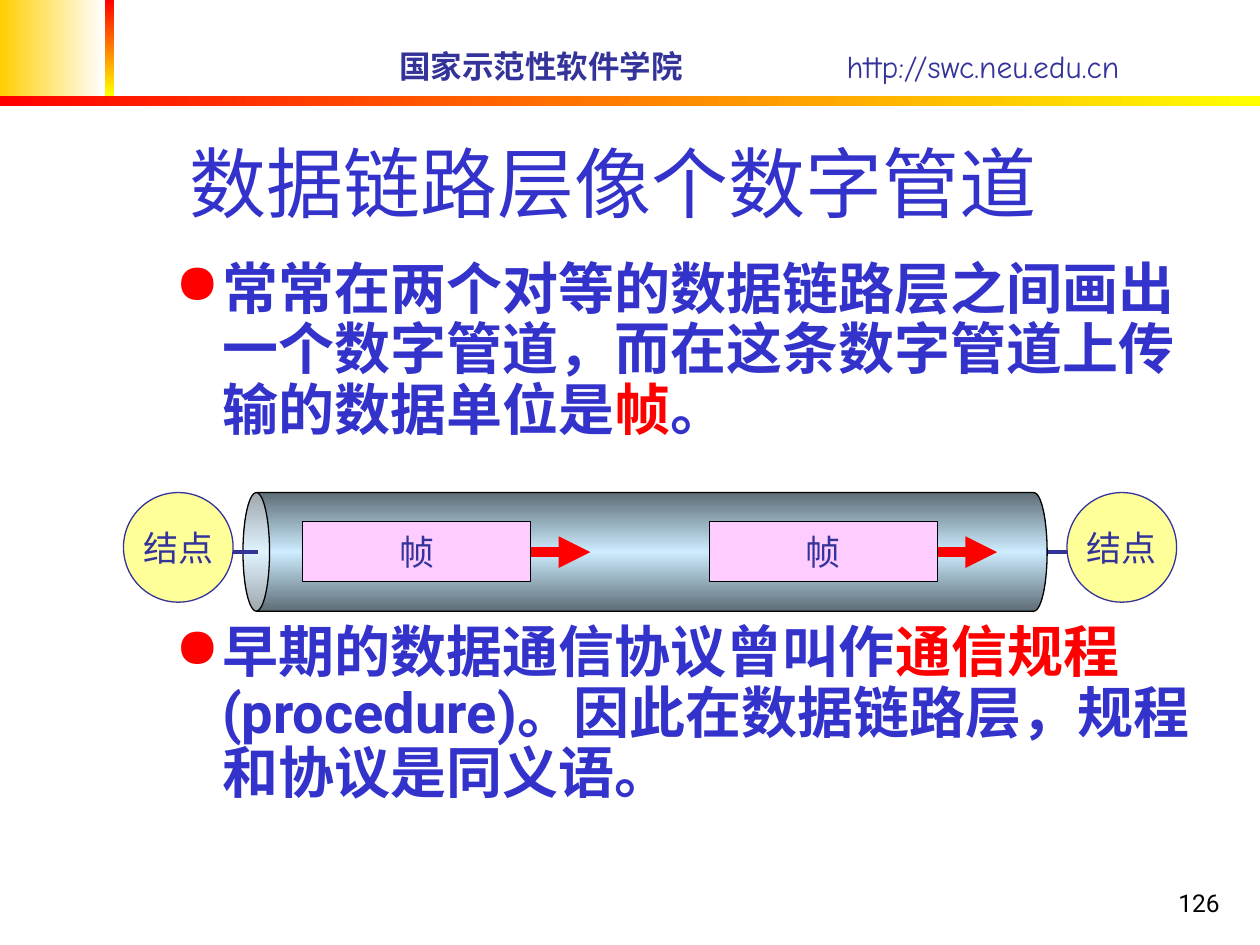
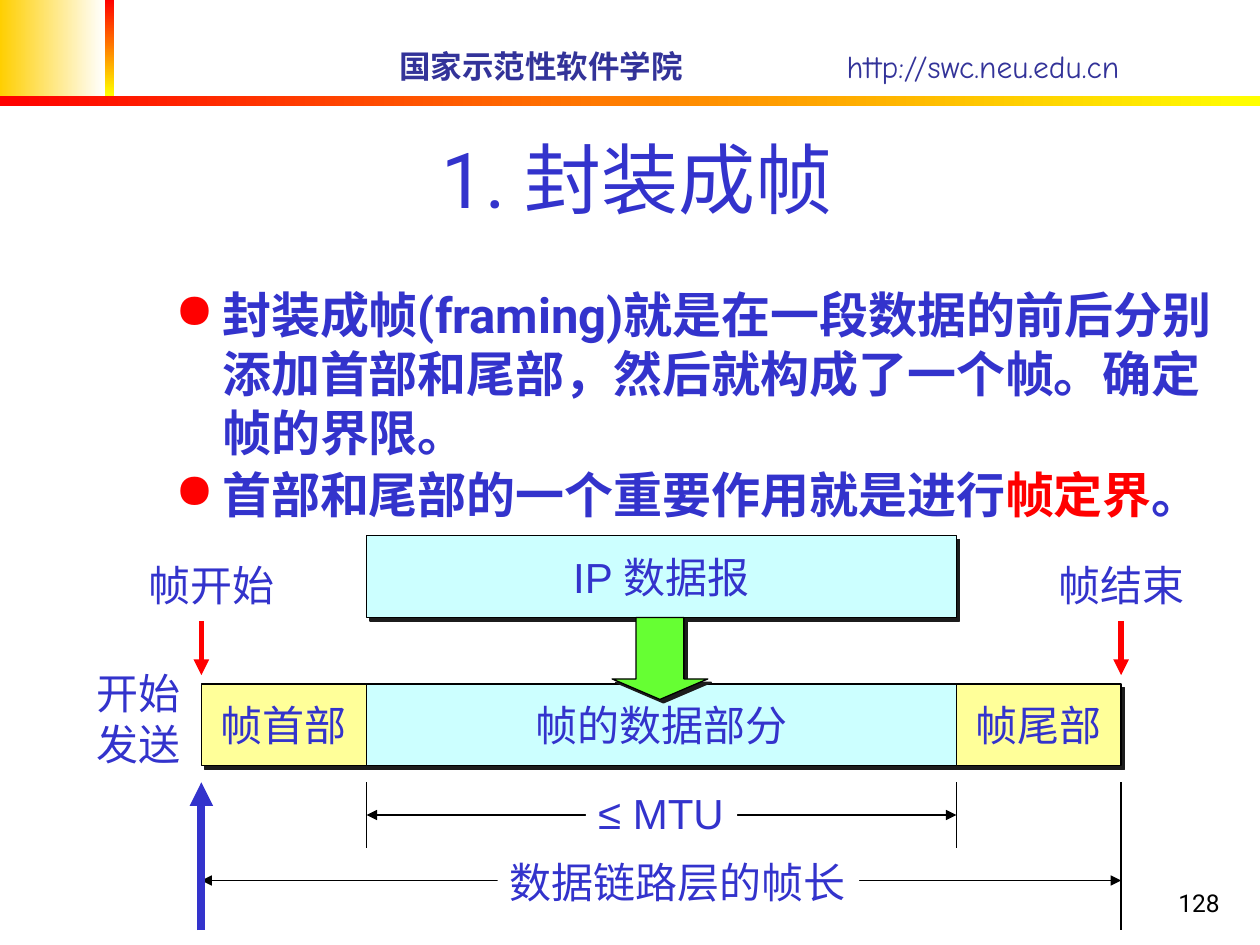
"""Build two slides about data link layer framing."""
from dataclasses import dataclass
from typing import NamedTuple, Optional, Sequence

from lxml.etree import SubElement
from pptx import Presentation
from pptx.dml.color import RGBColor
from pptx.enum.shapes import MSO_CONNECTOR, MSO_SHAPE as Preset
from pptx.enum.text import MSO_ANCHOR as Anchor, MSO_AUTO_SIZE, PP_ALIGN as Align
from pptx.oxml.ns import qn
from pptx.util import Cm, Pt

BLUE, NAVY, RED, BLACK, WHITE = "3333CC", "333399", "FF0000", "000000", "FFFFFF"
GOLD, YELLOW, STEEL, SKY = "FFCF01", "FFFF00", "5E6D76", "CCECFF"
CREAM, PINK, CYAN, GREEN, SHADOW = "FFFF99", "FFCCFF", "CCFFFF", "66FF33", "1C1C1C"


class Area(NamedTuple):
    """Left, top, width and height in centimetres."""

    left: float
    top: float
    width: float
    height: float


class Span(NamedTuple):
    """A piece of text that may differ from its paragraph."""

    text: str
    color: Optional[str] = None
    bold: Optional[bool] = None


@dataclass(frozen=True)
class Block:
    """A preset shape with its fill and label."""

    area: Area
    fill: str
    text: str = ""
    preset: Preset = Preset.RECTANGLE


@dataclass(frozen=True)
class Rule:
    """A straight line with optional arrowheads."""

    start: tuple[float, float]
    end: tuple[float, float]
    color: str = BLACK
    weight: float = 0.75
    heads: tuple[str, ...] = ()


@dataclass(frozen=True)
class Bullet:
    """A bulleted paragraph and the space before it."""

    spans: Sequence[Span]
    space_before: float = 0


def rgb(color: str) -> RGBColor:
    """Turn a hex string into a colour."""
    return RGBColor.from_string(color)


def lengths(area: Area) -> list[Cm]:
    """Turn an area into lengths."""
    return [Cm(value) for value in area]


def write(paragraph, spans: Sequence[Span], *, size: float, font: str = "Roboto",
          color: str = BLUE, bold: bool = False, align: Align = Align.LEFT) -> None:
    """Write formatted spans into a paragraph."""
    paragraph.alignment = align
    for span in spans:
        run = paragraph.add_run()
        run.text = span.text
        run.font.size, run.font.name = Pt(size), font
        run.font.bold = bold if span.bold is None else span.bold
        run.font.color.rgb = rgb(span.color or color)


def add_text(slide, area: Area, lines: Sequence[str], *, wrap: bool = True,
             anchor: Anchor = Anchor.TOP, fill: Optional[str] = None, **style):
    """Add a text box with one paragraph for each line."""
    box = slide.shapes.add_textbox(*lengths(area))
    frame = box.text_frame
    frame.word_wrap, frame.vertical_anchor = wrap, anchor
    if fill:
        box.fill.solid()
        box.fill.fore_color.rgb = rgb(fill)
    for index, line in enumerate(lines):
        paragraph = frame.add_paragraph() if index else frame.paragraphs[0]
        write(paragraph, [Span(line)], **style)
    return box


def add_block(slide, block: Block, *, shadow: bool = False, line: str = BLACK, **style):
    """Add a filled and outlined shape with a centred label."""
    shape = slide.shapes.add_shape(block.preset, *lengths(block.area))
    shape.shadow.inherit = False
    shape.fill.solid()
    shape.fill.fore_color.rgb = rgb(block.fill)
    shape.line.color.rgb = rgb(line)
    shape.line.width = Pt(0.75)
    if shadow:
        effects = shape.element.spPr.find(qn("a:effectLst"))
        outer = SubElement(effects, qn("a:outerShdw"), blurRad="0", dist=str(Pt(2.8)),
                           dir="2700000", algn="ctr", rotWithShape="0")
        SubElement(outer, qn("a:srgbClr"), val=SHADOW)
    if block.text:
        frame = shape.text_frame
        frame.word_wrap, frame.vertical_anchor = False, Anchor.MIDDLE
        write(frame.paragraphs[0], [Span(block.text)], align=Align.CENTER, **style)
    return shape


def paint_gradient(shape, colors: Sequence[str], angle: float = 0) -> None:
    """Fill a shape with evenly spaced gradient stops."""
    shape.fill.gradient()
    shape.fill.gradient_angle = angle
    stops = shape.element.spPr.find(qn("a:gradFill")).find(qn("a:gsLst"))
    for stop in list(stops):
        stops.remove(stop)
    for index, color in enumerate(colors):
        position = 100000 * index // (len(colors) - 1)
        stop = SubElement(stops, qn("a:gs"), pos=str(position))
        SubElement(stop, qn("a:srgbClr"), val=color)


def add_rule(slide, rule: Rule) -> None:
    """Add a line, with triangles at the named ends."""
    ends = [Cm(value) for value in (*rule.start, *rule.end)]
    connector = slide.shapes.add_connector(MSO_CONNECTOR.STRAIGHT, *ends)
    connector.line.color.rgb = rgb(rule.color)
    connector.line.width = Pt(rule.weight)
    properties = connector.element.spPr
    for head in rule.heads:
        SubElement(properties.find(qn("a:ln")), qn(f"a:{head}"), type="triangle")
    SubElement(properties, qn("a:effectLst"))


def add_bullets(slide, area: Area, bullets: Sequence[Bullet], *, size: float,
                line_spacing: float = 1.0) -> None:
    """Add the bold body text with red bullets."""
    frame = slide.shapes.add_textbox(*lengths(area)).text_frame
    frame.word_wrap = True
    for index, bullet in enumerate(bullets):
        paragraph = frame.add_paragraph() if index else frame.paragraphs[0]
        paragraph.line_spacing = line_spacing
        if bullet.space_before:
            paragraph.space_before = Pt(bullet.space_before)
        properties = paragraph._p.get_or_add_pPr()
        properties.set("marL", str(Cm(0.95)))
        properties.set("indent", str(Cm(-0.95)))
        SubElement(SubElement(properties, qn("a:buClr")), qn("a:srgbClr"), val=RED)
        SubElement(properties, qn("a:buChar"), char="●")
        write(paragraph, bullet.spans, size=size, bold=True)


def add_header(slide) -> None:
    """Add the gradient bands and the school line."""
    bands = (
        (Area(0, 0, 2.11, 1.93), (GOLD, WHITE), 0),
        (Area(2.11, 0, 0.2, 1.93), (RED, YELLOW), 270),
        (Area(0, 1.93, 25.4, 0.2), (RED, YELLOW), 0),
    )
    for area, colors, angle in bands:
        band = add_block(slide, Block(area, WHITE))
        band.line.fill.background()
        paint_gradient(band, colors, angle)
    box = add_text(slide, Area(7.8, 0.81, 17.02, 1.02), (), anchor=Anchor.MIDDLE)
    paragraph = box.text_frame.paragraphs[0]
    tabs = SubElement(paragraph._p.get_or_add_pPr(), qn("a:tabLst"))
    SubElement(tabs, qn("a:tab"), pos=str(Cm(9.02)), algn="l")
    spans = (Span("国家示范性软件学院\t"), Span("http://swc.neu.edu.cn", bold=False))
    write(paragraph, spans, size=18, font="Comic Neue", color=NAVY, bold=True)


def start_slide(presentation, title: str, title_area: Area, number: int):
    """Add a slide with its header, number and title."""
    slide = presentation.slides.add_slide(presentation.slide_layouts[5])
    add_header(slide)
    add_text(slide, Area(19.56, 17.35, 5.28, 1.27), [str(number)], anchor=Anchor.BOTTOM,
             size=14, color=BLACK, align=Align.RIGHT)
    shape = slide.shapes.title
    shape.left, shape.top, shape.width, shape.height = lengths(title_area)
    frame = shape.text_frame
    frame.auto_size, frame.vertical_anchor = MSO_AUTO_SIZE.NONE, Anchor.BOTTOM
    write(frame.paragraphs[0], [Span(title)], size=44, align=Align.CENTER)
    return slide


def build_pipe_slide(presentation) -> None:
    """Show the data link layer as a digital pipe."""
    slide = start_slide(presentation, "数据链路层像个数字管道",
                        Area(2.84, 2.59, 19.05, 2.13), 126)
    add_bullets(slide, Area(3.28, 5.13, 21.59, 13.44), (
        Bullet((Span("常常在两个对等的数据链路层之间画出一个数字管道，而在这条数字管道上传输的数据单位是"),
                Span("帧", RED), Span("。"))),
        Bullet((Span("早期的数据通信协议曾叫作"), Span("通信规程", RED),
                Span("(procedure)。因此在数据链路层，规程和协议是同义语。")), 104),
    ), size=32, line_spacing=0.9)

    axis, node_size, node_lefts = 11.13, 2.21, (2.49, 21.51)
    label = {"size": 20, "color": NAVY}
    for left in node_lefts:
        node = Block(Area(left, 9.93, node_size, node_size), CREAM, "结点", Preset.OVAL)
        add_block(slide, node, line=NAVY, **label)
    link_start = node_lefts[0] + node_size
    add_rule(slide, Rule((link_start, axis), (node_lefts[1], axis), NAVY, 2.25))
    pipe = add_block(slide, Block(Area(11.81, 3.02, 2.39, 16.21), SKY, preset=Preset.CAN))
    pipe.rotation = 270
    pipe.adjustments[0] = 0.224
    paint_gradient(pipe, (STEEL, SKY, STEEL))
    add_rule(slide, Rule((link_start, axis), (link_start + 0.51, axis), NAVY, 2.25))

    frame_width, arrow_length = 4.6, 1.2
    for left in (6.1, 14.3):
        add_block(slide, Block(Area(left, 10.52, frame_width, 1.2), PINK, "帧"), **label)
        right = left + frame_width
        add_rule(slide, Rule((right, axis), (right + arrow_length, axis), RED, 6, ("tailEnd",)))


def build_framing_slide(presentation) -> None:
    """Show how a datagram is wrapped into a frame."""
    slide = start_slide(presentation, "1. 封装成帧", Area(3.2, 0.58, 19.3, 4.06), 128)
    add_bullets(slide, Area(3.28, 5.61, 21.59, 11.43), (
        Bullet([Span("封装成帧(framing)就是在一段数据的前后分别添加首部和尾部，然后就构成了一个帧。确定帧的界限。")]),
        Bullet((Span("首部和尾部的一个重要作用就是进行"), Span("帧定界", RED), Span("。")), 2),
    ), size=28)

    header_left, data_left, trailer_left, frame_right = 4.06, 7.39, 19.28, 22.6
    datagram_top, frame_top, height = 10.8, 13.79, 1.65
    data_width = trailer_left - data_left
    label = {"size": 24, "font": "Arial"}
    blocks = (
        Block(Area(header_left, frame_top, data_left - header_left, height), CREAM, "帧首部"),
        Block(Area(data_left, datagram_top, data_width, height), CYAN, "IP 数据报"),
        Block(Area(data_left, frame_top, data_width, height), CYAN, "帧的数据部分"),
        Block(Area(trailer_left, frame_top, frame_right - trailer_left, height), CREAM, "帧尾部"),
    )
    for block in blocks:
        add_block(slide, block, shadow=True, **label)

    mtu_y, frame_y, tick_top, bottom = 16.43, 17.75, 15.77, 18.75
    both = ("headEnd", "tailEnd")
    rules = [
        Rule((data_left, mtu_y), (trailer_left, mtu_y), heads=both),
        Rule((header_left, frame_y), (frame_right, frame_y), heads=both),
        Rule((header_left, bottom), (header_left, tick_top), BLUE, 4.5, ("tailEnd",)),
        Rule((frame_right, tick_top), (frame_right, bottom)),
    ]
    rules += [Rule((x, tick_top), (x, 17.09)) for x in (data_left, trailer_left)]
    rules += [Rule((x, 12.52), (x, 13.61), RED, 3, ("tailEnd",))
              for x in (header_left, frame_right)]
    for rule in rules:
        add_rule(slide, rule)

    add_block(slide, Block(Area(12.34, datagram_top + height, 1.93, height), GREEN,
                           preset=Preset.DOWN_ARROW), shadow=True).adjustments[1] = 0.25
    captions = (
        (Area(21.08, 11.15, 3.05, 1.27), ["帧结束"]),
        (Area(11.81, 15.75, 3.05, 1.27), ["≤ MTU"]),
        (Area(10.03, 17.15, 7.29, 1.27), ["数据链路层的帧长"]),
        (Area(1.7, 13.34, 2.21, 2.29), ["开始", "发送"]),
        (Area(2.74, 11.15, 3.05, 1.27), ["帧开始"]),
    )
    for area, lines in captions:
        add_text(slide, area, lines, wrap=False, fill=WHITE, **label)


def main() -> None:
    """Build and save the presentation."""
    presentation = Presentation()
    presentation.slide_width, presentation.slide_height = Cm(25.4), Cm(19.05)
    build_pipe_slide(presentation)
    build_framing_slide(presentation)
    presentation.save("out.pptx")


if __name__ == "__main__":
    main()
